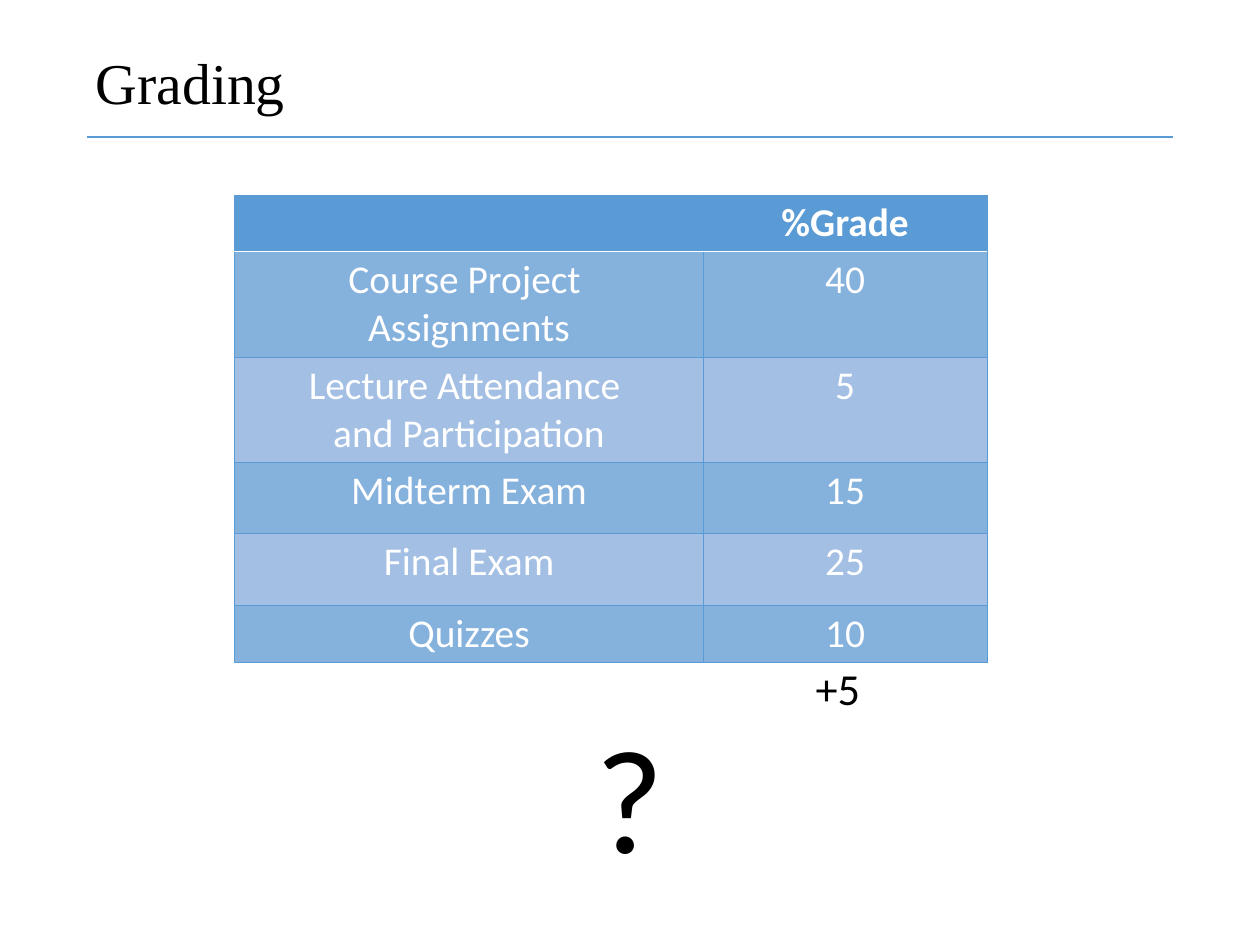
from lxml.etree import SubElement
from pptx import Presentation
from pptx.dml.color import RGBColor
from pptx.enum.shapes import MSO_CONNECTOR
from pptx.enum.text import MSO_ANCHOR, MSO_AUTO_SIZE, PP_ALIGN
from pptx.oxml.ns import qn
from pptx.util import Pt

BLUE = RGBColor(0x5B, 0x9B, 0xD5)
BAND_DARK = RGBColor(0x85, 0xB1, 0xDD)
BAND_LIGHT = RGBColor(0xA3, 0xBF, 0xE4)
WHITE = RGBColor(0xFF, 0xFF, 0xFF)
BLACK = RGBColor(0, 0, 0)

GRADES = [
    ("", "%Grade"),
    ("Course Project \nAssignments", "40"),
    ("Lecture Attendance \nand Participation", "5"),
    ("Midterm Exam", "15"),
    ("Final Exam", "25"),
    ("Quizzes", "10"),
]
COL_WIDTHS = [380.9, 230.4]
ROW_HEIGHTS = [46.3, 85.3, 85.3, 57.7, 58.5, 46.3]


def format_text(tf, size, color, font="Calibri", bold=False, align=PP_ALIGN.CENTER):
    for p in tf.paragraphs:
        p.alignment = align
        for r in p.runs:
            r.font.name = font
            r.font.size = Pt(size)
            r.font.bold = bold
            r.font.color.rgb = color


def add_title(s, text):
    title = s.shapes.title
    title.left, title.top, title.width, title.height = Pt(70.6), Pt(41), Pt(883.4), Pt(82)
    tf = title.text_frame
    tf.text = text
    tf.auto_size = MSO_AUTO_SIZE.NONE
    tf.vertical_anchor = MSO_ANCHOR.TOP
    tf.paragraphs[0].line_spacing = 0.9
    format_text(tf, 46.9, BLACK, "Times New Roman", align=PP_ALIGN.LEFT)


def add_rule(s, left, right, y):
    line = s.shapes.add_connector(MSO_CONNECTOR.STRAIGHT, Pt(left), Pt(y), Pt(right), Pt(y))
    line.line.color.rgb = BLUE
    line.line.width = Pt(2)
    SubElement(line._element.spPr, qn("a:effectLst"))


def add_border(cell, side, color, width):
    ln = SubElement(cell._tc.get_or_add_tcPr(), qn(f"a:ln{side}"), w=str(Pt(width)))
    fill = SubElement(ln, qn("a:solidFill"))
    SubElement(fill, qn("a:srgbClr"), val=str(color))


def format_cell(cell, row):
    # Borders come before the fill; a white line closes the header
    white_side = {0: "B", 1: "T"}.get(row)
    for side in "LRTB":
        if side == white_side:
            add_border(cell, side, WHITE, 1)
        else:
            add_border(cell, side, BLUE, 0.5)
    cell.fill.solid()
    if row == 0:
        cell.fill.fore_color.rgb = BLUE
    else:
        cell.fill.fore_color.rgb = BAND_DARK if row % 2 else BAND_LIGHT
    format_text(cell.text_frame, 32, WHITE, bold=row == 0)


def add_grade_table(s, left, top):
    frame = s.shapes.add_table(len(GRADES), len(COL_WIDTHS), Pt(left), Pt(top),
                               Pt(sum(COL_WIDTHS)), Pt(sum(ROW_HEIGHTS)))
    table = frame.table
    for column, width in zip(table.columns, COL_WIDTHS):
        column.width = Pt(width)
    for i, (values, height) in enumerate(zip(GRADES, ROW_HEIGHTS)):
        table.rows[i].height = Pt(height)
        for j, value in enumerate(values):
            cell = table.cell(i, j)
            cell.text_frame.text = value
            format_cell(cell, i)


def add_label(s, text, left, top, width, height, size):
    tf = s.shapes.add_textbox(Pt(left), Pt(top), Pt(width), Pt(height)).text_frame
    tf.word_wrap = True
    tf.text = text
    format_text(tf, size, BLACK)


def main():
    prs = Presentation()
    prs.slide_width, prs.slide_height = Pt(1024), Pt(768)
    s = prs.slides.add_slide(prs.slide_layouts[5])

    # Heading
    add_title(s, "Grading")
    add_rule(s, 70.6, 953.3, 111.4)

    # Grade shares
    add_grade_table(s, 190.8, 158.4)

    # Bonus points and question mark
    add_label(s, "?", 432.7, 570.2, 158.4, 152.6, 120)
    add_label(s, "+5", 631, 534.2, 100, 51, 36)

    prs.save("out.pptx")


if __name__ == "__main__":
    main()
